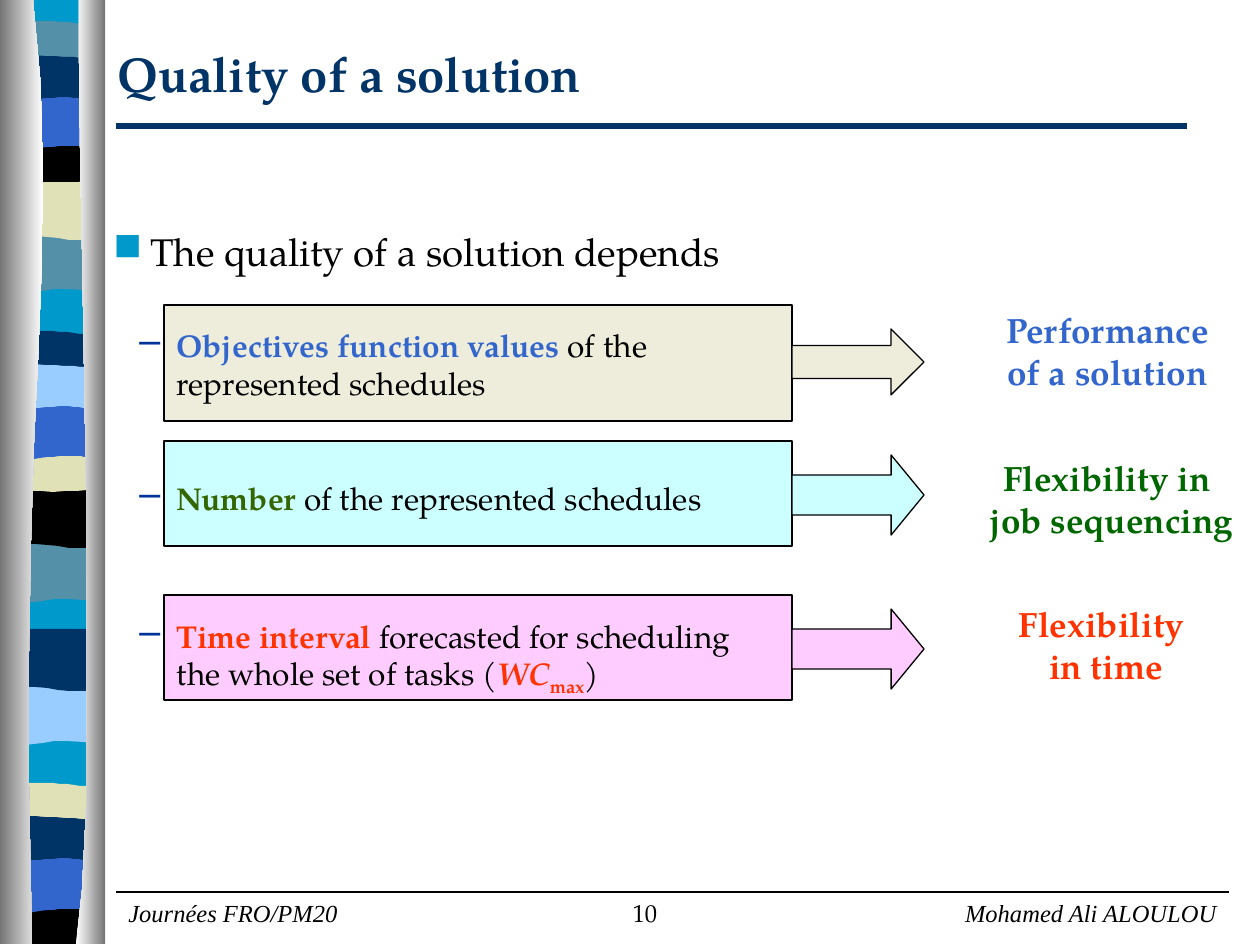
from lxml.etree import SubElement
from pptx import Presentation
from pptx.dml.color import RGBColor
from pptx.enum.shapes import MSO_CONNECTOR as Connector, MSO_SHAPE as Preset
from pptx.enum.text import MSO_ANCHOR as Anchor, PP_ALIGN as Align
from pptx.oxml.ns import qn
from pptx.util import Emu, Pt

SCALE = 914400 / 126
BAND_LEFT, BAND_WIDTH = 4, 98
NAVY, TEAL, STEEL, SAND = "003366", "0099CC", "5490A8", "E1E1B7"
BLUE, SKY, BLACK, RED = "3366CC", "99CCFF", "000000", "FF3300"
SERIF, ROMAN = "TeX Gyre Pagella", "Times New Roman"

FLAT = [(0, 0), (BAND_WIDTH, 0)]
PROFILES = {
    "plain": (FLAT, [(98, 942), (0, 942)]),
    "drape": (FLAT, [(98, 59), (30, 49), (16, 69), (0, 59)]),
    "sag": (FLAT, [(98, 59), (82, 69), (30, 53), (0, 59)]),
    "arch": (FLAT, [(98, 59), (84, 53), (77, 53), (60, 53), (44, 53), (15, 59), (0, 59)]),
    "barrel": ([(0, 0), (6, -6), (21, -5), (38, -5), (54, -5), (86, -1), (98, 0)],
               [(98, 30), (82, 36), (16, 36), (0, 30)]),
    "scoop": ([(0, 0), (60, 6), (77, 0), (98, 0)],
              [(98, 42), (82, 48), (16, 48), (0, 42)]),
    "floor": ([(0, 0), (60, 6), (77, 0), (98, 0)], [(98, 47), (0, 47)]),
    "ribbon": ([(0, 0), (14, -6), (67, 0), (83, 0), (98, 0)],
               [(98, 39), (92, 45), (77, 39), (60, 39), (44, 39), (10, 45), (0, 39)]),
}
BANDS = [
    ("plain", 0, TEAL), ("drape", 233, STEEL), ("sag", 178, SAND),
    ("barrel", 26, STEEL), ("scoop", 136, BLACK), ("arch", 93, BLUE),
    ("ribbon", 58, NAVY), ("drape", 543, STEEL), ("sag", 486, BLACK),
    ("barrel", 336, NAVY), ("scoop", 445, SAND), ("arch", 403, BLUE),
    ("ribbon", 367, SKY), ("drape", 685, SKY), ("sag", 629, NAVY),
    ("barrel", 788, SAND), ("floor", 897, BLACK), ("arch", 856, BLUE),
    ("ribbon", 819, NAVY),
]
FACTORS = [
    ("EEEDDC", (305, 116), (329, 66, 0.501)),
    ("CCFFFF", (441, 105), (455, 80, 0.411)),
    ("FFCCFF", (595, 105), (609, 80, 0.411)),
]
EFFECTS = [
    (BLUE, (979, 302, 257), ["Performance", "of a solution"]),
    ("006600", (966, 450, 291), ["Flexibility in ", "job sequencing"]),
    (RED, (997, 596, 218), ["Flexibility ", "in time"]),
]
POINTS = [
    (29.4, [("Objectives function values", {"color": BLUE, "bold": True}),
            (" of the represented schedules", {})]),
    (44.1, [("Number", {"color": "336600", "bold": True}),
            (" of the represented schedules", {})]),
    (57.2, [("Time interval", {"color": RED, "bold": True}),
            (" forecasted for scheduling the whole set of tasks (", {}),
            ("WC", {"color": RED, "bold": True, "italic": True}),
            ("max", {"color": RED, "bold": True, "baseline": -25000}),
            (")", {})]),
]


def px(length):
    return Emu(round(length * SCALE))


def rgb(value):
    return RGBColor.from_string(value)


def trace(chain, steps=10):
    points = [chain[0]]
    for start in range(0, len(chain) - 3, 3):
        curve = chain[start:start + 4]
        for step in range(1, steps + 1):
            t = step / steps
            weights = ((1 - t) ** 3, 3 * t * (1 - t) ** 2, 3 * t * t * (1 - t), t ** 3)
            points.append(tuple(sum(w * p[axis] for w, p in zip(weights, curve))
                                for axis in (0, 1)))
    if points[-1] != chain[-1]:
        points.append(chain[-1])
    return points


class SlideWriter:
    def __init__(self, slide, font=SERIF):
        self.shapes = slide.shapes
        self.font = font

    def outline(self, points, color=None, gradient=None):
        builder = self.shapes.build_freeform(*points[0], scale=SCALE)
        builder.add_line_segments(points[1:], close=True)
        shape = builder.convert_to_shape()
        shape.shadow.inherit = False
        shape.line.fill.background()
        if gradient:
            shape.fill.gradient()
            shape.fill.gradient_angle = 0
            for stop, value in zip(shape.fill.gradient_stops, gradient):
                stop.color.rgb = rgb(value)
        else:
            shape.fill.solid()
            shape.fill.fore_color.rgb = rgb(color)

    def band(self, profile, top, color):
        upper, lower = PROFILES[profile]
        self.outline([(BAND_LEFT + x, top + y) for x, y in trace(upper) + trace(lower)], color)

    def shape(self, preset, area, color):
        shape = self.shapes.add_shape(preset, *map(px, area))
        shape.shadow.inherit = False
        shape.fill.solid()
        shape.fill.fore_color.rgb = rgb(color)
        shape.line.color.rgb = rgb(BLACK)
        shape.line.width = Pt(0.75)
        return shape

    def rule(self, left, right, top, color, width):
        line = self.shapes.add_connector(Connector.STRAIGHT, *map(px, (left, top, right, top)))
        line.line.color.rgb = rgb(color)
        line.line.width = Pt(width)
        SubElement(line._element.spPr, qn("a:effectLst"))

    def box(self, area, wrap=True, anchor=Anchor.TOP):
        frame = self.shapes.add_textbox(*map(px, area)).text_frame
        frame.word_wrap = wrap
        frame.vertical_anchor = anchor
        return frame

    def para(self, frame, spans, size, align=Align.LEFT, before=0, spacing=None):
        first = frame.paragraphs[0]
        para = frame.add_paragraph() if first.runs else first
        para.alignment = align
        para.space_before = Pt(before)
        if spacing:
            para.line_spacing = spacing
        for text, style in spans:
            self.span(para, text, size, **style)
        return para

    def span(self, para, text, size, color=BLACK, bold=False, italic=False,
             font=None, baseline=None):
        span = para.add_run()
        span.text = text
        span.font.name = font or self.font
        span.font.size = Pt(size)
        span.font.bold = bold
        span.font.italic = italic
        span.font.color.rgb = rgb(color)
        if baseline:
            span._r.get_or_add_rPr().set("baseline", str(baseline))

    def bullet(self, para, mark, color, margin, hanging, percent=100):
        props = para._p.get_or_add_pPr()
        props.set("marL", str(px(margin)))
        props.set("indent", str(-px(hanging)))
        SubElement(SubElement(props, qn("a:buClr")), qn("a:srgbClr"), val=color)
        SubElement(props, qn("a:buSzPct"), val=str(percent * 1000))
        SubElement(props, qn("a:buChar"), char=mark)


def main():
    deck = Presentation()
    deck.slide_width, deck.slide_height = px(1260), px(945)
    page = SlideWriter(deck.slides.add_slide(deck.slide_layouts[6]))

    for band in BANDS:
        page.band(*band)
    page.outline(trace([(33, 0), (64, 272), (15, 373), (32, 944)]) + [(0, 944), (0, 0)],
                 gradient=("767676", "FFFFFF"))
    page.outline(trace([(79, 0), (76, 158), (101, 814), (76, 944)]) + [(105, 944), (105, 0)],
                 gradient=("FFFFFF", "767676"))

    page.rule(116, 1187, 126, NAVY, 3)
    page.rule(116, 1229, 892, BLACK, 0.75)
    footers = [
        ("Journées FRO/PM20", 116, 262, Align.LEFT, {"font": ROMAN, "italic": True}),
        ("10", 514, 262, Align.CENTER, {}),
        ("Mohamed Ali ALOULOU", 945, 284, Align.RIGHT, {"font": ROMAN, "italic": True}),
    ]
    for text, left, width, align, style in footers:
        page.para(page.box((left, 892, width, 43)), [(text, style)], 14, align, before=8.8)

    title = page.box((105, 10, 1128, 126), anchor=Anchor.MIDDLE)
    page.para(title, [("Quality of a solution", {"color": NAVY, "bold": True})], 28)

    for color, (top, height), (arrow_top, arrow_height, head) in FACTORS:
        page.shape(Preset.RECTANGLE, (164, top, 628, height), color)
        arrow = page.shape(Preset.RIGHT_ARROW, (792, arrow_top, 132, arrow_height), color)
        arrow.adjustments[1] = head

    body = page.box((101, 199, 687, 590))
    lead = page.para(body, [("The quality of a solution depends", {})], 22,
                     before=5.5, spacing=1.5)
    page.bullet(lead, "■", TEAL, 37, 37)
    for before, spans in POINTS:
        page.bullet(page.para(body, spans, 18, before=before), "–", "003399", 63, 37, 120)

    for color, (left, top, width), lines in EFFECTS:
        label = page.box((left, top, width, 97), wrap=False)
        for line in lines:
            page.para(label, [(line, {"color": color, "bold": True})], 20, Align.CENTER)

    deck.save("out.pptx")


if __name__ == "__main__":
    main()
